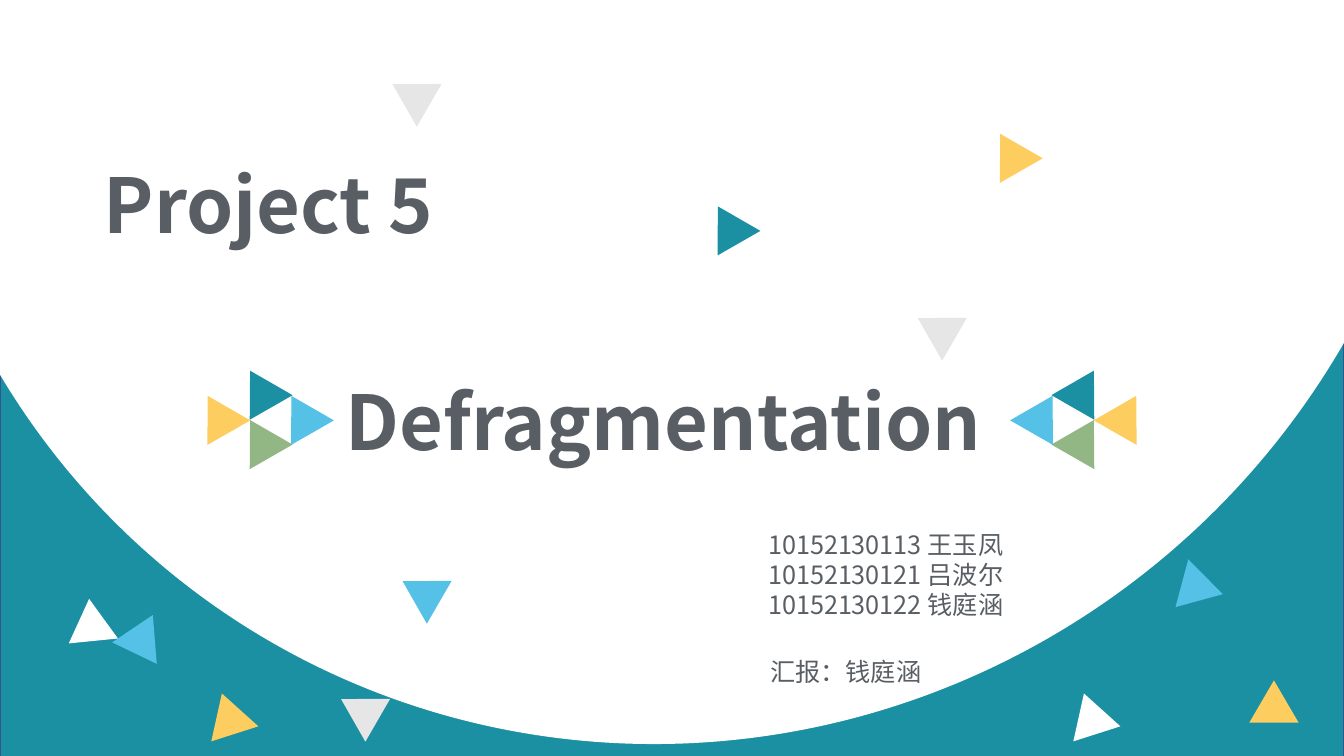
from dataclasses import dataclass

from pptx import Presentation, util as u
from pptx.dml.color import RGBColor
from pptx.enum import shapes, text

FONT = "Noto Sans CJK SC"
COLORS = {
    "teal": "1B90A2", "navy": "325491", "white": "FFFFFF", "gray": "E7E6E6",
    "yellow": "FDCD5F", "blue": "55C1E7", "green": "93B784", "ink": "595E64",
}
SLIDE_W = 13.33
TRI_W, TRI_H = 0.49, 0.42
DOWN, RIGHT = 300, 330.2


@dataclass
class Triangle:
    """A confetti triangle: position in inches, rotation in degrees."""
    x: float
    y: float
    rot: float
    color: str


@dataclass
class Label:
    """A text box with one paragraph per line."""
    x: float
    y: float
    w: float
    h: float
    lines: str
    size: int
    bold: bool = False


UPPER_CONFETTI = [
    Triangle(9.04, 3.05, DOWN, "gray"),
    Triangle(6.98, 2.02, RIGHT, "teal"),
    Triangle(3.32, 6.83, DOWN, "gray"),
    Triangle(9.78, 1.3, RIGHT, "yellow"),
    Triangle(3.93, 5.66, DOWN, "blue"),
    Triangle(3.83, 0.73, DOWN, "gray"),
]
LEFT_ORNAMENT = [
    Triangle(2.34, 3.65, RIGHT, "teal"),
    Triangle(2.34, 4.14, RIGHT, "green"),
    Triangle(2.75, 3.9, RIGHT, "blue"),
    Triangle(1.92, 3.9, RIGHT, "yellow"),
]
LOWER_CONFETTI = [
    Triangle(11.68, 5.63, 105, "blue"),
    Triangle(0.66, 5.94, 354.3, "white"),
    Triangle(1.18, 6.08, 25.7, "blue"),
    Triangle(2.02, 6.87, 342.3, "yellow"),
    Triangle(10.57, 6.87, 342.3, "white"),
    Triangle(12.39, 6.75, 0, "yellow"),
]
LABELS = [
    Label(3.33, 3.67, 6.94, 1.01, "Defragmentation", 54, True),
    Label(0.93, 1.52, 4.12, 1.01, "Project 5", 54, True),
    Label(7.52, 5.2, 2.69, 1.01,
          "10152130113 王玉凤\n10152130121 吕波尔\n10152130122 钱庭涵", 18),
    Label(7.54, 6.46, 1.82, 0.4, "汇报：钱庭涵", 18),
]


def rgb(name: str) -> RGBColor:
    """Look up a palette colour."""
    return RGBColor.from_string(COLORS[name])


def add_filled(s, kind, x: float, y: float, w: float, h: float,
               color: str, rot: float = 0):
    """Add a flat preset shape without outline or shadow."""
    sp = s.shapes.add_shape(kind, *map(u.Inches, (x, y, w, h)))
    sp.shadow.inherit = False
    sp.fill.solid()
    sp.fill.fore_color.rgb = rgb(color)
    sp.line.fill.background()
    sp.rotation = rot
    return sp


def add_triangle(s, t: Triangle) -> None:
    """Draw one confetti triangle."""
    add_filled(s, shapes.MSO_SHAPE.ISOSCELES_TRIANGLE,
               t.x, t.y, TRI_W, TRI_H, t.color, t.rot)


def mirrored(t: Triangle) -> Triangle:
    """Reflect a triangle across the vertical centre of the slide."""
    return Triangle(SLIDE_W - t.x - TRI_W, t.y, 360 - t.rot, t.color)


def add_label(s, label: Label) -> None:
    """Draw a text box and format its runs."""
    sp = s.shapes.add_textbox(*map(u.Inches, (label.x, label.y, label.w, label.h)))
    tf = sp.text_frame
    tf.word_wrap = True
    tf.auto_size = text.MSO_AUTO_SIZE.SHAPE_TO_FIT_TEXT
    tf.text = label.lines
    for p in tf.paragraphs:
        for r in p.runs:
            r.font.name = FONT
            r.font.size = u.Pt(label.size)
            r.font.bold = label.bold
            r.font.color.rgb = rgb("ink")
            ea = r.font._element.makeelement(
                "{http://schemas.openxmlformats.org/drawingml/2006/main}ea",
                {"typeface": FONT})
            r.font._element.append(ea)


def add_backdrop(s) -> None:
    """Draw the teal ground and the large white bowl over it."""
    ground = add_filled(s, shapes.MSO_SHAPE.RECTANGLE, 0, 0.05, SLIDE_W, 7.5, "teal")
    ground.line.color.rgb = rgb("navy")
    ground.line.width = u.Pt(1)
    bowl = add_filled(s, shapes.MSO_SHAPE.CHORD, -0.99, -8.19, 15.3, 15.65, "white", 222.5)
    bowl.adjustments[0] = 46.01
    bowl.adjustments[1] = 188.79


def main() -> None:
    """Build and save the title slide."""
    prs = Presentation()
    prs.slide_width, prs.slide_height = u.Inches(SLIDE_W), u.Inches(7.5)
    s = prs.slides.add_slide(prs.slide_layouts[6])
    add_backdrop(s)
    ornaments = LEFT_ORNAMENT + [mirrored(t) for t in LEFT_ORNAMENT]
    for t in UPPER_CONFETTI + ornaments + LOWER_CONFETTI:
        add_triangle(s, t)
    for label in LABELS:
        add_label(s, label)
    prs.save("out.pptx")


main()
